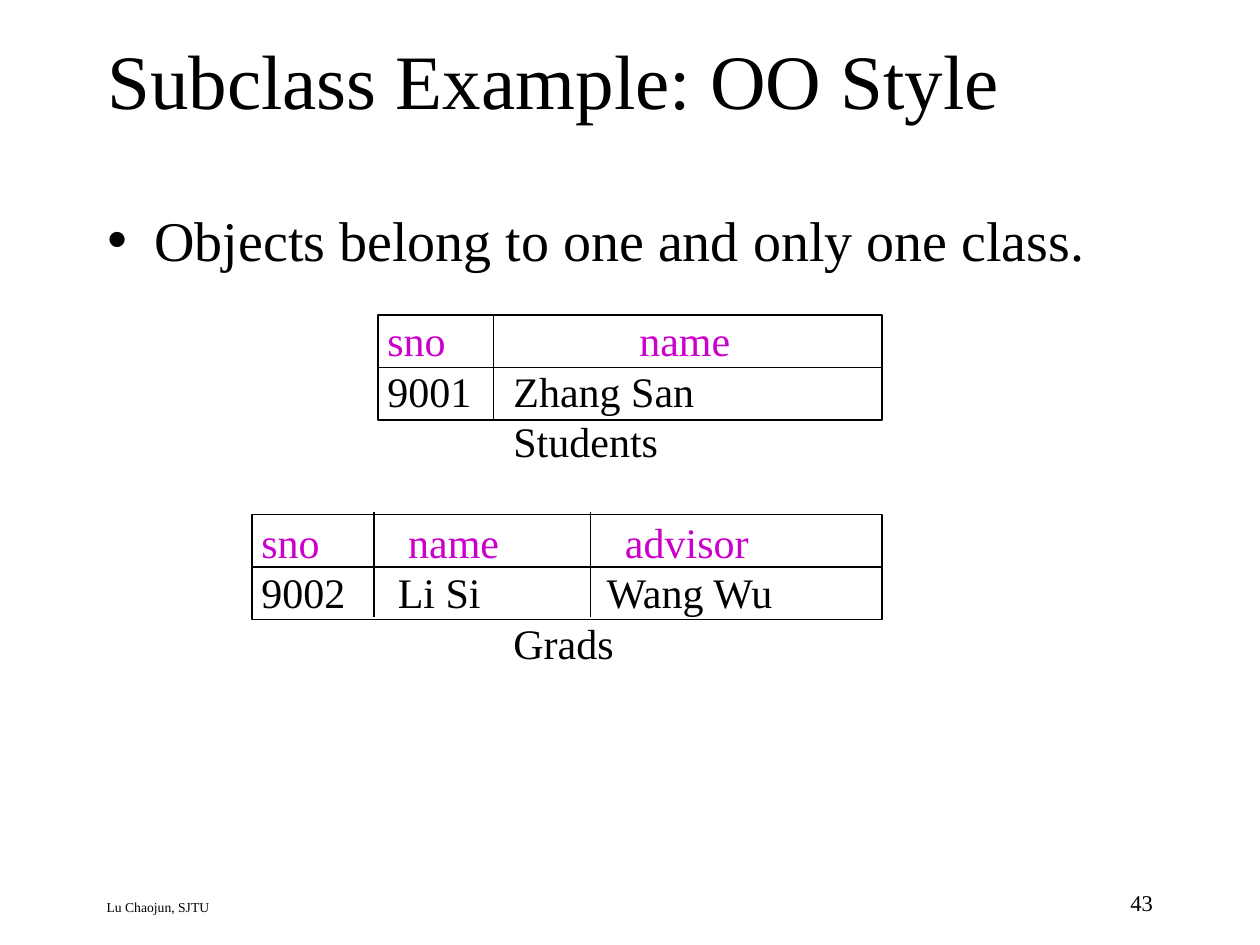
from dataclasses import dataclass

import lxml.etree
import pptx
import pptx.dml.color
import pptx.enum.shapes
import pptx.enum.text
import pptx.oxml.ns
import pptx.util

Cm = pptx.util.Cm
Pt = pptx.util.Pt
ANCHOR = pptx.enum.text.MSO_ANCHOR
ALIGN = pptx.enum.text.PP_ALIGN
FONT = "Times New Roman"
BLACK = "000000"
MAGENTA = "CC00CC"
GRID_HEIGHT = 2.12


@dataclass(frozen=True)
class Grid:
    left: float
    top: float
    width: float
    dividers: tuple[float, ...]
    divider_top: float


@dataclass(frozen=True)
class Line:
    text: str
    tabs: tuple[float, ...]
    color: str = BLACK
    space_before: float = 0


@dataclass(frozen=True)
class Label:
    lines: tuple[Line, ...]
    left: float
    top: float
    width: float
    height: float
    size: float
    align: ALIGN = ALIGN.LEFT


GRIDS = (
    Grid(7.62, 6.35, 10.16, (9.95,), 6.35),
    Grid(5.08, 10.37, 12.7, (7.54, 11.91), 10.32),
)
LABELS = (
    Label((Line("Lu Chaojun, SJTU", ()),), 1.9, 18, 14.73, 0.64, 7.8),
    Label((Line("43", ()),), 18.2, 17.8, 5.29, 0.85, 12.9, ALIGN.RIGHT),
    Label((
        Line("\tsno\tname", (2.54, 7.62), MAGENTA),
        Line("\t9001\tZhang San", (2.54, 5.08)),
        Line("\tStudents", (5.08,)),
        Line("sno\tname\tadvisor", (2.96, 7.33), MAGENTA, 28.8),
        Line("9002\tLi Si\tWang Wu", (2.75, 6.96)),
        Line("\tGrads", (5.08,)),
    ), 5.02, 6.22, 10.95, 7.37, 24),
)


def rgb(color: str) -> pptx.dml.color.RGBColor:
    return pptx.dml.color.RGBColor.from_string(color)


def add_run(p, text: str, size: float, color: str = BLACK) -> None:
    r = p.add_run()
    r.text = text
    r.font.name = FONT
    r.font.size = Pt(size)
    r.font.color.rgb = rgb(color)


def place(sp, left: float, top: float, width: float, height: float) -> None:
    sp.left, sp.top, sp.width, sp.height = map(Cm, (left, top, width, height))


def add_tabs(p, stops: tuple[float, ...]) -> None:
    tabs = lxml.etree.SubElement(p._p.get_or_add_pPr(), pptx.oxml.ns.qn("a:tabLst"))
    for stop in stops:
        lxml.etree.SubElement(tabs, pptx.oxml.ns.qn("a:tab"), pos=str(Cm(stop)), algn="l")


def add_label(s, label: Label) -> None:
    sp = s.shapes.add_textbox(Cm(label.left), Cm(label.top), Cm(label.width), Cm(label.height))
    tf = sp.text_frame
    tf.word_wrap = True
    for i, line in enumerate(label.lines):
        p = tf.add_paragraph() if i else tf.paragraphs[0]
        if line.tabs:
            add_tabs(p, line.tabs)
        p.alignment = label.align
        if line.space_before:
            p.space_before = Pt(line.space_before)
        add_run(p, line.text, label.size, line.color)


def add_rule(s, x1: float, y1: float, x2: float, y2: float) -> None:
    sp = s.shapes.add_connector(pptx.enum.shapes.MSO_CONNECTOR.STRAIGHT,
                                Cm(x1), Cm(y1), Cm(x2), Cm(y2))
    sp.line.color.rgb = rgb(BLACK)
    sp.line.width = Pt(0.75)
    lxml.etree.SubElement(sp._element.spPr, pptx.oxml.ns.qn("a:effectLst"))


def add_grid(s, grid: Grid) -> None:
    sp = s.shapes.add_shape(pptx.enum.shapes.MSO_SHAPE.RECTANGLE, Cm(grid.left), Cm(grid.top),
                            Cm(grid.width), Cm(GRID_HEIGHT))
    sp.shadow.inherit = False
    sp.fill.background()
    sp.line.color.rgb = rgb(BLACK)
    sp.line.width = Pt(0.75)
    middle = grid.top + GRID_HEIGHT / 2
    add_rule(s, grid.left, middle, grid.left + grid.width, middle)
    for x in grid.dividers:
        add_rule(s, x, grid.divider_top, x, grid.divider_top + GRID_HEIGHT)


def add_title(s) -> None:
    sp = s.shapes.title
    place(sp, 1.91, 0, 21.59, 3.18)
    tf = sp.text_frame
    tf.vertical_anchor = ANCHOR.MIDDLE
    p = tf.paragraphs[0]
    p.alignment = ALIGN.LEFT
    add_run(p, "Subclass Example: OO Style", 44)


def add_body(s) -> None:
    sp = s.placeholders[1]
    place(sp, 1.91, 4.01, 21.59, 12.9)
    p = sp.text_frame.paragraphs[0]
    p_pr = p._p.get_or_add_pPr()
    p_pr.set("marL", str(Cm(0.95)))
    p_pr.set("indent", str(-Cm(0.95)))
    lxml.etree.SubElement(p_pr, pptx.oxml.ns.qn("a:buChar"), char="•")
    p.space_before = Pt(0)
    add_run(p, "Objects belong to one and only one class.", 32)


def main() -> None:
    prs = pptx.Presentation()
    prs.slide_width, prs.slide_height = Cm(25.4), Cm(19.05)
    s = prs.slides.add_slide(prs.slide_layouts[1])
    add_title(s)
    add_body(s)
    for label in LABELS:
        add_label(s, label)
    for grid in GRIDS:
        add_grid(s, grid)
    prs.save("out.pptx")


if __name__ == "__main__":
    main()
